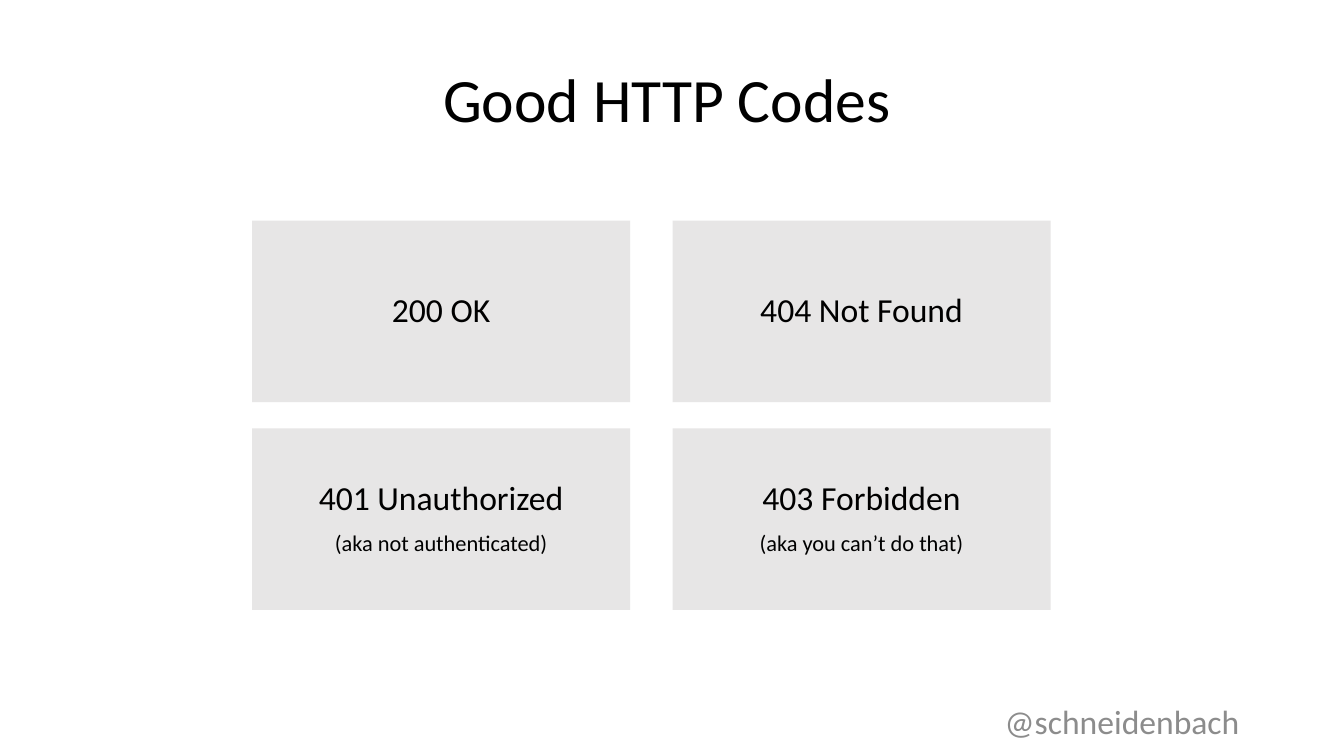
import pptx
import pptx.util
import pptx.dml.color
import pptx.enum.shapes
import pptx.enum.text

PX = 9144
ANCHOR = pptx.enum.text.MSO_ANCHOR
CODES = [
    [["200 OK"], ["404 Not Found"]],
    [["401 Unauthorized", "(aka not authenticated)"],
     ["403 Forbidden", "(aka you can’t do that)"]],
]


def px(n):
    return pptx.util.Emu(n * PX)


def color(value):
    return pptx.dml.color.RGBColor.from_string(value)


def set_frame(sp, insets, anchor):
    tf = sp.text_frame
    tf.word_wrap = True
    tf.vertical_anchor = anchor
    tf.margin_left, tf.margin_top, tf.margin_right, tf.margin_bottom = map(px, insets)
    return tf


def set_line(p, text, size, ink="000000"):
    p.text = text
    p.alignment = pptx.enum.text.PP_ALIGN.CENTER
    p.font.name = "Calibri"
    p.font.size = pptx.util.Pt(size)
    p.font.color.rgb = color(ink)


def add_title(s, x, y, w, h):
    sp = s.shapes.add_textbox(px(x), px(y), px(w), px(h))
    p = set_frame(sp, (0, 5, 10, 5), ANCHOR.TOP).paragraphs[0]
    set_line(p, "Good HTTP Codes", 44)
    p.line_spacing = 0.9


def add_card(s, x, y, w, h, lines):
    sp = s.shapes.add_shape(pptx.enum.shapes.MSO_SHAPE.RECTANGLE, px(x), px(y), px(w), px(h))
    sp.shadow.inherit = False
    sp.fill.solid()
    sp.fill.fore_color.rgb = color("E7E6E6")
    sp.line.fill.background()
    tf = set_frame(sp, (30, 30, 30, 30), ANCHOR.MIDDLE)
    for i, text in enumerate(lines):
        p = tf.add_paragraph() if i else tf.paragraphs[0]
        set_line(p, text, 16 if i else 24)
        p.line_spacing = 0.9
        p.space_before = pptx.util.Pt(10)


def add_code_grid(s, x, y, w, h):
    card_w, card_h = 375, 180
    for row, cards in enumerate(CODES):
        for col, lines in enumerate(cards):
            add_card(s, x + col * (w - card_w), y + row * (h - card_h), card_w, card_h, lines)


def add_handle(s, x, y, w, h):
    sp = s.shapes.add_textbox(px(x), px(y), px(w), px(h))
    tf = set_frame(sp, (10, 5, 10, 5), ANCHOR.MIDDLE)
    set_line(tf.paragraphs[0], "@schneidenbach", 24, "8C8C8C")


def main():
    prs = pptx.Presentation()
    prs.slide_width, prs.slide_height = px(1333), px(750)
    s = prs.slides.add_slide(prs.slide_layouts[6])
    add_title(s, 77, 64, 1179, 48)
    add_code_grid(s, 250, 219, 792, 386)
    add_handle(s, 888, 695, 450, 40)
    prs.save("out.pptx")


if __name__ == "__main__":
    main()
